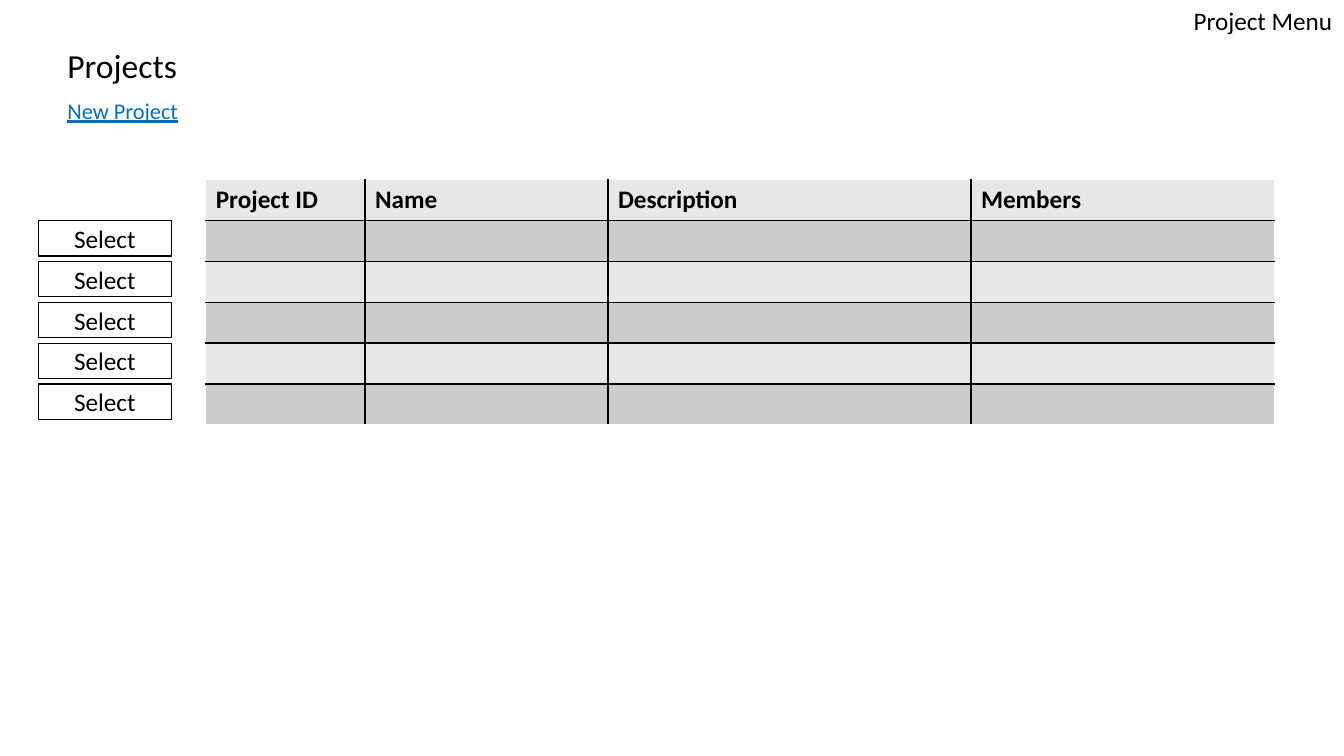
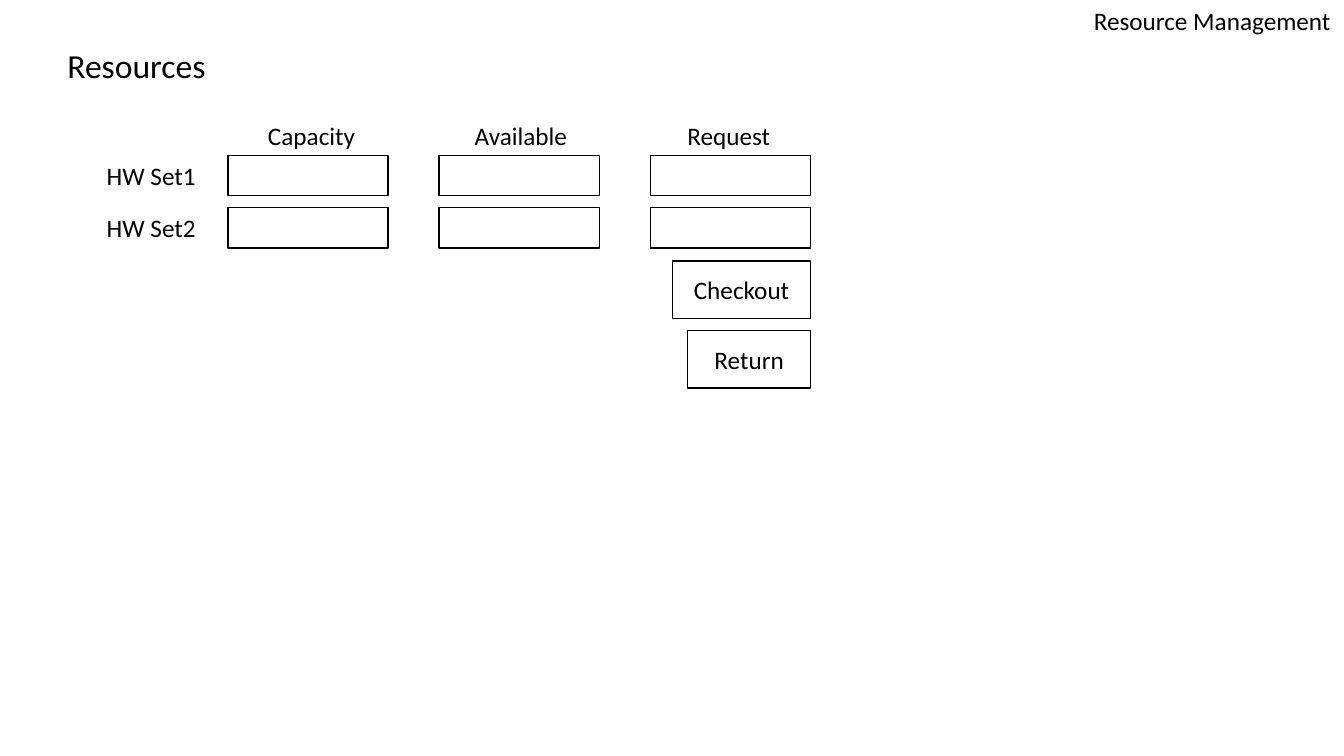
from dataclasses import dataclass
from itertools import product

from lxml.etree import SubElement
from pptx import Presentation
from pptx.dml.color import RGBColor
from pptx.enum.shapes import MSO_SHAPE
from pptx.enum.text import MSO_ANCHOR, MSO_AUTO_SIZE, PP_ALIGN
from pptx.oxml.ns import qn
from pptx.util import Inches, Pt


@dataclass(frozen=True)
class Theme:
    """Colours, font and type sizes shared by the slides."""
    font: str = "Calibri"
    ink: str = "000000"
    paper: str = "FFFFFF"
    link: str = "0070C0"
    light_band: str = "E7E7E7"
    dark_band: str = "CCCCCC"
    title_size: int = 24
    body_size: int = 18
    link_size: int = 16
    line_width: int = 1


class Wireframe:
    """Draws the elements of a screen mock-up on the current slide."""

    def __init__(self, presentation, theme):
        self.presentation = presentation
        self.theme = theme
        self.slide = None

    def style(self, paragraph, size=None, color=None):
        font = paragraph.font
        font.name = self.theme.font
        font.size = Pt(size or self.theme.body_size)
        font.color.rgb = RGBColor.from_string(color or self.theme.ink)

    def screen(self, corner, corner_width, title, title_width):
        self.slide = self.presentation.slides.add_slide(self.presentation.slide_layouts[6])
        self.text(corner, 13.33 - corner_width, 0, corner_width)
        self.text(title, 0.57, 0.4, title_width, 0.5, self.theme.title_size)

    def text(self, words, left, top, width, height=0.4, size=None, color=None):
        box = self.slide.shapes.add_textbox(Inches(left), Inches(top), Inches(width), Inches(height))
        frame = box.text_frame
        frame.word_wrap = False
        frame.auto_size = MSO_AUTO_SIZE.SHAPE_TO_FIT_TEXT
        paragraph = frame.paragraphs[0]
        paragraph.text = words
        self.style(paragraph, size, color)
        return paragraph

    def link(self, words, left, top, width):
        paragraph = self.text(words, left, top, width, 0.37, self.theme.link_size, self.theme.link)
        paragraph.font.underline = True

    def tabbed_text(self, words, left, top, width, stops):
        paragraph = self.text("\t".join(words), left, top, width)
        properties = paragraph.font._element.getparent()
        tab_list = properties.makeelement(qn("a:tabLst"))
        properties.insert(0, tab_list)
        for stop in stops:
            SubElement(tab_list, qn("a:tab"), pos=str(Inches(stop)), algn="l")

    def box(self, left, top, width, height, words=""):
        shape = self.slide.shapes.add_shape(
            MSO_SHAPE.RECTANGLE, Inches(left), Inches(top), Inches(width), Inches(height))
        shape.shadow.inherit = False
        shape.fill.solid()
        shape.fill.fore_color.rgb = RGBColor.from_string(self.theme.paper)
        shape.line.color.rgb = RGBColor.from_string(self.theme.ink)
        shape.line.width = Pt(self.theme.line_width)
        if words:
            shape.text_frame.vertical_anchor = MSO_ANCHOR.MIDDLE
            paragraph = shape.text_frame.paragraphs[0]
            paragraph.text = words
            paragraph.alignment = PP_ALIGN.CENTER
            self.style(paragraph)

    def borders(self, cell, sides):
        properties = cell._tc.get_or_add_tcPr()
        for side, visible in sides.items():
            if visible:
                line = SubElement(properties, qn(f"a:ln{side}"), w=str(Pt(self.theme.line_width)))
                fill = SubElement(line, qn("a:solidFill"))
                SubElement(fill, qn("a:srgbClr"), val=self.theme.ink)

    def table(self, headings, widths, row_count, row_height, left, top):
        table = self.slide.shapes.add_table(
            row_count, len(widths), Inches(left), Inches(top),
            Inches(sum(widths)), Inches(row_height * row_count)).table
        for column, width in zip(table.columns, widths):
            column.width = Inches(width)
        bands = (self.theme.light_band, self.theme.dark_band)
        for row, column in product(range(row_count), range(len(widths))):
            cell = table.cell(row, column)
            self.borders(cell, {"L": column > 0, "R": column < len(widths) - 1,
                                "T": row > 0, "B": row < row_count - 1})
            cell.fill.solid()
            cell.fill.fore_color.rgb = RGBColor.from_string(bands[row % 2])
            paragraph = cell.text_frame.paragraphs[0]
            if row == 0:
                paragraph.text = headings[column]
                paragraph.font.bold = True
            self.style(paragraph)


def projects_screen(wireframe):
    wireframe.screen("Project Menu", 1.59, "Projects", 1.3)
    wireframe.table(["Project ID", "Name", "Description", "Members"],
                    [1.58, 2.41, 3.6, 3.01], 6, 0.406, 2.04, 1.78)
    wireframe.link("New Project", 0.57, 0.91, 1.32)
    for row in range(5):
        wireframe.box(0.38, 2.19 + row * 0.405, 1.32, 0.35, "Select")


def resources_screen(wireframe):
    wireframe.screen("Resource Management", 2.58, "Resources", 1.59)
    row_tops = (1.54, 2.06)
    for number, top in enumerate(row_tops, 1):
        wireframe.text(f"HW Set{number}", 0.96, top, 1.09)
    wireframe.tabbed_text(["Capacity", "Available", "Request"], 2.56, 1.14, 5.3, [2.05, 4.16])
    for column, top in product(range(3), row_tops):
        wireframe.box(2.26 + column * 2.095, top, 1.59, 0.4)
    right_edge = 8.04
    for words, top, width in (("Return", 3.28, 1.22), ("Checkout", 2.59, 1.37)):
        wireframe.box(right_edge - width, top, width, 0.57, words)


def main():
    """Build the project and resource screens."""
    presentation = Presentation()
    presentation.slide_width = Inches(13.33)
    presentation.slide_height = Inches(7.5)
    wireframe = Wireframe(presentation, Theme())
    projects_screen(wireframe)
    resources_screen(wireframe)
    presentation.save("out.pptx")


main()
